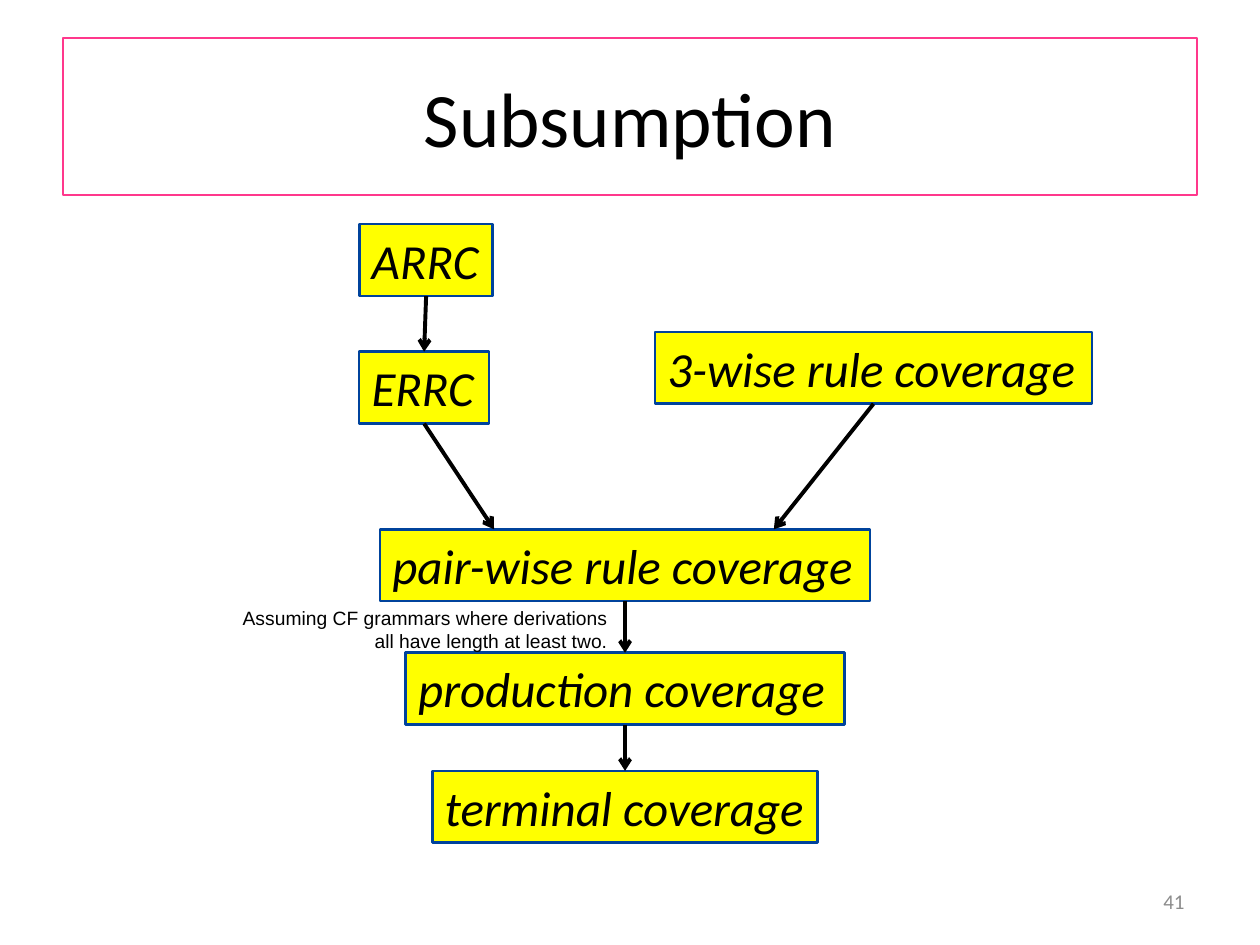
import pptx
import pptx.util
import pptx.dml.color
import pptx.enum.shapes
import pptx.enum.text
from lxml import etree

Cm, Pt = pptx.util.Cm, pptx.util.Pt
RGBColor = pptx.dml.color.RGBColor
ALIGN = pptx.enum.text.PP_ALIGN
ANCHOR = pptx.enum.text.MSO_ANCHOR
RECTANGLE = pptx.enum.shapes.MSO_SHAPE.RECTANGLE
STRAIGHT = pptx.enum.shapes.MSO_CONNECTOR.STRAIGHT

BLACK = RGBColor(0x00, 0x00, 0x00)
GREY = RGBColor(0x8C, 0x8C, 0x8C)
PINK = RGBColor(0xFF, 0x38, 0x8C)
YELLOW = RGBColor(0xFF, 0xFF, 0x00)
BLUE = RGBColor(0x00, 0x43, 0x9C)

TITLE = "Subsumption"
PAGE_NUMBER = "41"
ASSUMPTION = "Assuming CF grammars where derivations all have length at least two."

# name: (centre, top, width)
CRITERIA = {
    "ARRC": (8.59, 4.52, 2.69),
    "ERRC": (8.55, 7.09, 2.62),
    "pair-wise rule coverage": (12.6, 10.67, 9.88),
    "production coverage": (12.6, 13.16, 8.84),
    "terminal coverage": (12.6, 15.54, 7.77),
    "3-wise rule coverage": (17.61, 6.69, 8.81),
}
CRITERION_HEIGHT = 1.45

SUBSUMES = [
    ("ARRC", "ERRC", 0),
    ("pair-wise rule coverage", "production coverage", 0),
    ("production coverage", "terminal coverage", 0),
    ("3-wise rule coverage", "pair-wise rule coverage", 3),
    ("ERRC", "pair-wise rule coverage", -2.64),
]
TOP, BOTTOM = 0, 2


def add_box(slide, words, place, size, color=BLACK, font="Calibri", align=ALIGN.LEFT,
            anchor=ANCHOR.TOP, italic=False, wrap=True, fill=None, line=None):
    box = slide.shapes.add_shape(RECTANGLE, *map(Cm, place)) if line else \
        slide.shapes.add_textbox(*map(Cm, place))
    if line:
        box.shadow.inherit = False
        box.line.color.rgb, box.line.width = line[0], Pt(line[1])
        if fill:
            box.fill.solid()
            box.fill.fore_color.rgb = fill
        else:
            box.fill.background()
    frame = box.text_frame
    frame.word_wrap = wrap
    frame.vertical_anchor = anchor
    paragraph = frame.paragraphs[0]
    paragraph.alignment = align
    run = paragraph.add_run()
    run.text = words
    run.font.name, run.font.size, run.font.italic = font, Pt(size), italic
    run.font.color.rgb = color
    return box


def add_arrow(slide, boxes, upper, lower, offset):
    upper_centre, upper_top, _ = CRITERIA[upper]
    lower_centre, lower_top, _ = CRITERIA[lower]
    arrow = slide.shapes.add_connector(
        STRAIGHT, Cm(upper_centre), Cm(upper_top + CRITERION_HEIGHT),
        Cm(lower_centre + offset), Cm(lower_top))
    arrow.begin_connect(boxes[upper], BOTTOM)
    if not offset:
        arrow.end_connect(boxes[lower], TOP)
    arrow.line.color.rgb, arrow.line.width = BLACK, Pt(2.25)
    namespace = pptx.oxml.ns.qn
    etree.SubElement(arrow.line._get_or_add_ln(), namespace("a:tailEnd"), type="arrow")
    etree.SubElement(arrow._element.spPr, namespace("a:effectLst"))


def main():
    deck = pptx.Presentation()
    deck.slide_width, deck.slide_height = Cm(25.4), Cm(19.05)
    slide = deck.slides.add_slide(deck.slide_layouts[6])

    add_box(slide, TITLE, (1.27, 0.76, 22.86, 3.18), 44, align=ALIGN.CENTER,
            anchor=ANCHOR.MIDDLE, line=(PINK, 1))
    add_box(slide, PAGE_NUMBER, (18.2, 17.66, 5.93, 1.01), 12, GREY,
            align=ALIGN.RIGHT, anchor=ANCHOR.MIDDLE)

    boxes = {
        name: add_box(slide, name, (centre - width / 2, top, width, CRITERION_HEIGHT), 28,
                      italic=True, wrap=False, fill=YELLOW, line=(BLUE, 1.5))
        for name, (centre, top, width) in CRITERIA.items()
    }
    for upper, lower, offset in SUBSUMES:
        add_arrow(slide, boxes, upper, lower, offset)

    add_box(slide, ASSUMPTION, (4.45, 12.09, 8.05, 1.19), 11, font="Arial", align=ALIGN.RIGHT)
    deck.save("out.pptx")


if __name__ == "__main__":
    main()
